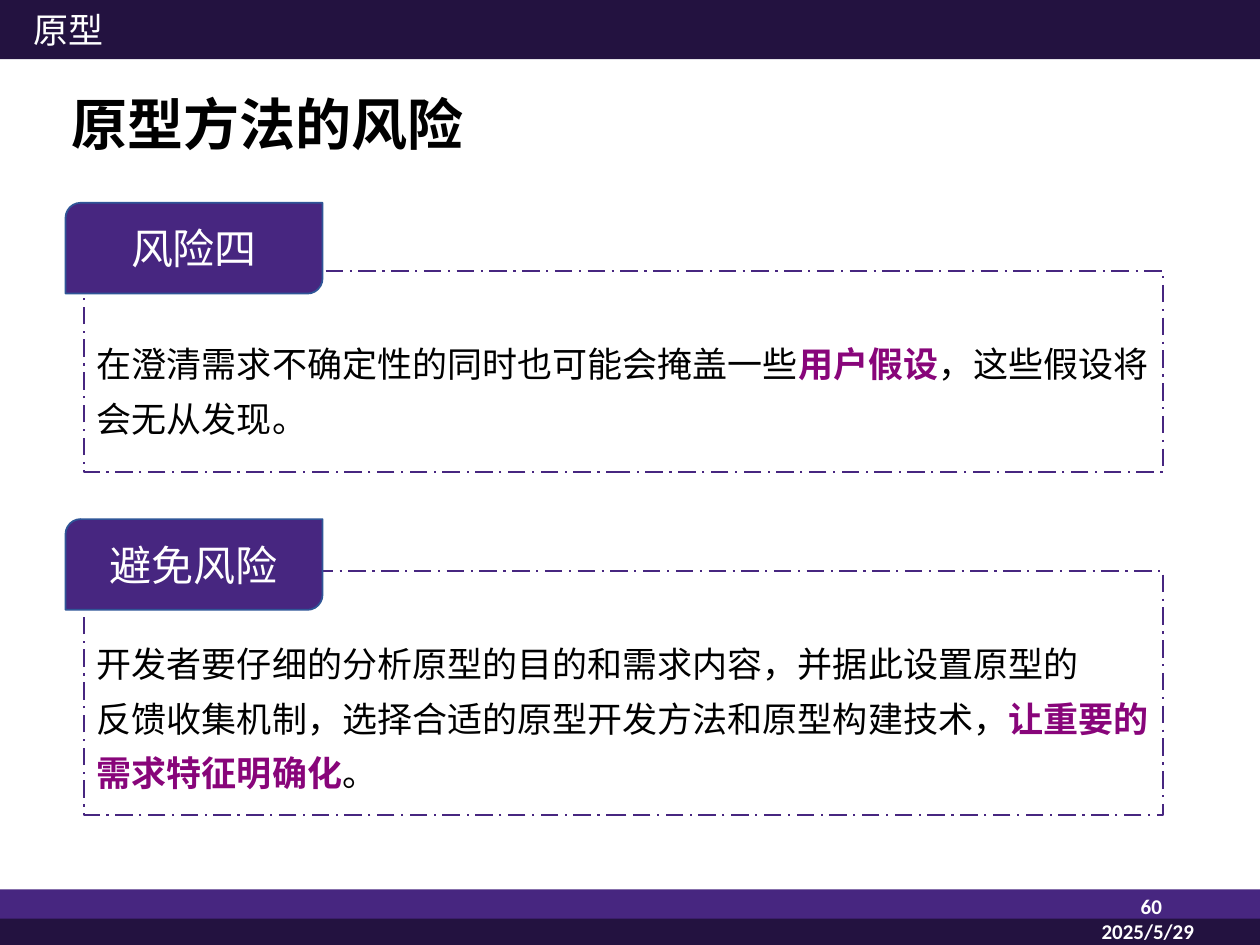
from pptx import Presentation
from pptx.dml.color import RGBColor
from pptx.enum.dml import MSO_LINE
from pptx.enum.shapes import MSO_SHAPE
from pptx.enum.text import MSO_ANCHOR, PP_ALIGN
from pptx.util import Inches, Pt

PURPLE, DARK, WHITE, BLACK, ACCENT = "472680", "231240", "FFFFFF", "000000", "88057A"
CJK = "Noto Sans CJK SC"


def rgb(value):
    """Turn a hex string into a colour."""
    return RGBColor.from_string(value)


def add_run(paragraph, text, size, color, font=CJK, bold=False):
    """Append one formatted run to a paragraph."""
    run = paragraph.add_run()
    run.text = text
    run.font.size = Pt(size)
    run.font.name = font
    run.font.bold = bold
    run.font.color.rgb = rgb(color)


prs = Presentation()
prs.slide_width, prs.slide_height = Inches(10), Inches(7.5)
slide = prs.slides.add_slide(prs.slide_layouts[5])
shapes = slide.shapes

for top, height, color in [(7.06, 0.24, PURPLE), (7.29, 0.21, DARK), (0, 0.47, DARK)]:
    band = shapes.add_shape(MSO_SHAPE.RECTANGLE, 0, Inches(top), Inches(10), Inches(height))
    band.shadow.inherit = False
    band.fill.solid()
    band.fill.fore_color.rgb = rgb(color)
    band.line.fill.background()

title = shapes.title
title.left, title.top = Inches(0.47), Inches(0.65)
title.width, title.height = Inches(8.62), Inches(0.72)
title.text_frame.vertical_anchor = MSO_ANCHOR.MIDDLE
heading = title.text_frame.paragraphs[0]
heading.alignment = PP_ALIGN.LEFT
heading.line_spacing = 0.9
add_run(heading, "原型方法的风险", 32, BLACK, bold=True)

labels = [
    ("原型", 0.17, 0.02, 0.76, 0.44, 20, CJK, False, PP_ALIGN.LEFT),
    ("60", 8.67, 7.04, 0.65, 0.3, 12, "Calibri", True, PP_ALIGN.RIGHT),
    ("2025/5/29", 8.54, 7.24, 1.14, 0.26, 12, "Calibri", True, PP_ALIGN.CENTER),
]
for text, left, top, width, height, size, font, bold, alignment in labels:
    label = shapes.add_textbox(Inches(left), Inches(top), Inches(width), Inches(height))
    label.text_frame.word_wrap = size == 12
    label.text_frame.paragraphs[0].alignment = alignment
    add_run(label.text_frame.paragraphs[0], text, size, WHITE, font, bold)

sections = [
    ("风险四", 1.61, 2.15, 1.6, [
        [("在澄清需求不确定性的同时也可能会掩盖一些", False), ("用户假设", True),
         ("，这些假设将会无从发现。", False)],
    ]),
    ("避免风险", 4.12, 4.53, 1.94, [
        [("开发者要仔细的分析原型的目的和需求内容，并据此设置原型的", False)],
        [("反馈收集机制，选择合适的原型开发方法和原型构建技术，", False),
         ("让重要的需求特征明确化", True), ("。", False)],
    ]),
]
for name, badge_top, frame_top, frame_height, paragraphs in sections:
    frame = shapes.add_shape(MSO_SHAPE.RECTANGLE, Inches(0.67), Inches(frame_top),
                             Inches(8.56), Inches(frame_height))
    frame.shadow.inherit = False
    frame.fill.background()
    frame.line.color.rgb = rgb(PURPLE)
    frame.line.width = Pt(1.25)
    frame.line.dash_style = MSO_LINE.LONG_DASH_DOT
    body = frame.text_frame
    body.word_wrap = True
    body.vertical_anchor = MSO_ANCHOR.TOP
    body.margin_top = Inches(0.47)
    for index, parts in enumerate(paragraphs):
        paragraph = body.add_paragraph() if index else body.paragraphs[0]
        paragraph.alignment = PP_ALIGN.LEFT
        paragraph.line_spacing = 1.3
        for text, key in parts:
            add_run(paragraph, text, 20, ACCENT if key else BLACK, bold=key)

    badge = shapes.add_shape(MSO_SHAPE.ROUND_2_DIAG_RECTANGLE, Inches(0.52), Inches(badge_top),
                             Inches(2.04), Inches(0.72))
    badge.shadow.inherit = False
    badge.fill.solid()
    badge.fill.fore_color.rgb = rgb(PURPLE)
    badge.line.color.rgb = rgb("2F5597")
    badge.line.width = Pt(1)
    badge.text_frame.vertical_anchor = MSO_ANCHOR.MIDDLE
    badge.text_frame.paragraphs[0].alignment = PP_ALIGN.CENTER
    add_run(badge.text_frame.paragraphs[0], name, 24, WHITE, "Times New Roman")

prs.save("out.pptx")
